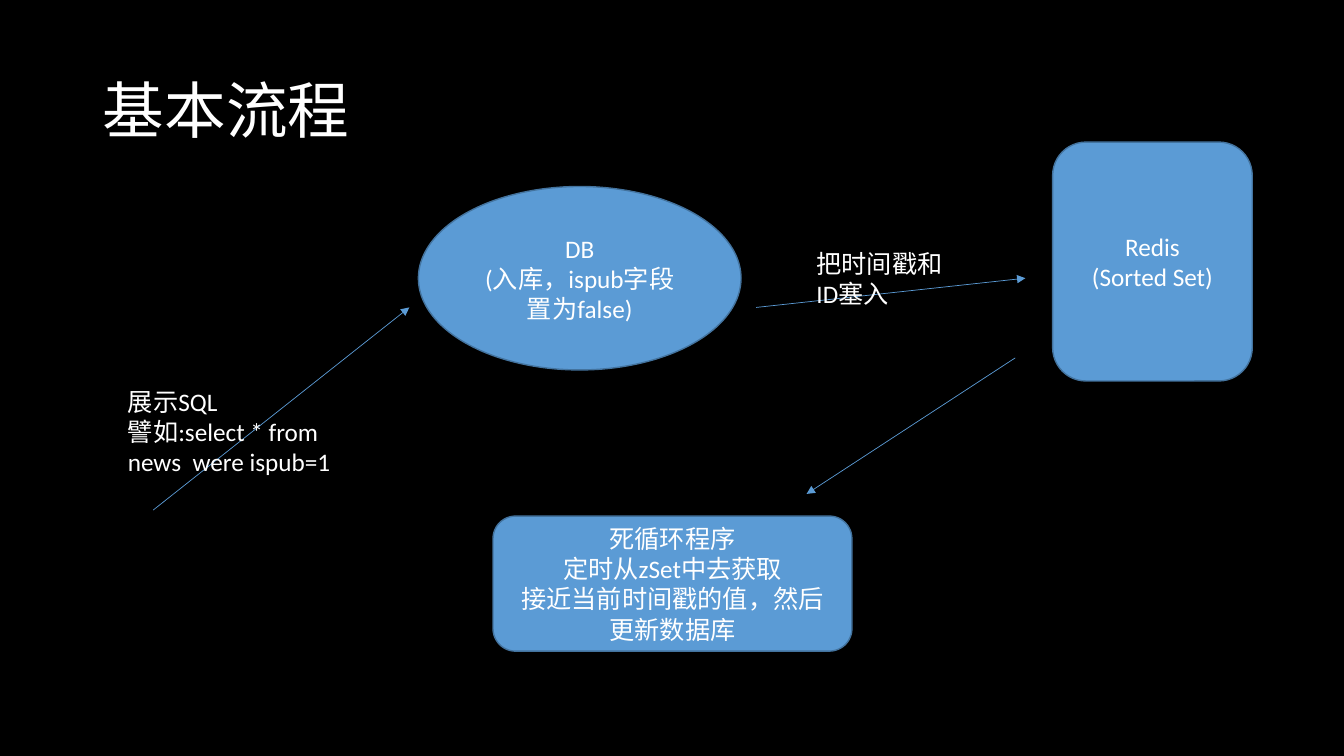
from typing import NamedTuple

from lxml import etree
from pptx import Presentation
from pptx.dml.color import RGBColor
from pptx.enum.shapes import MSO_CONNECTOR, MSO_SHAPE
from pptx.enum.text import MSO_ANCHOR, MSO_AUTO_SIZE, PP_ALIGN
from pptx.oxml.ns import qn
from pptx.util import Inches, Pt

ELLIPSE = MSO_SHAPE.OVAL
ROUNDED = MSO_SHAPE.ROUNDED_RECTANGLE
STRAIGHT = MSO_CONNECTOR.STRAIGHT
LEFT, CENTER = PP_ALIGN.LEFT, PP_ALIGN.CENTER
TOP, MIDDLE = MSO_ANCHOR.TOP, MSO_ANCHOR.MIDDLE
NO_AUTOFIT = MSO_AUTO_SIZE.NONE

FONT = "Calibri"
BLACK, WHITE = "000000", "FFFFFF"
BLUE, DARK_BLUE = "5B9BD5", "43739E"


class Box(NamedTuple):
    left: float
    top: float
    width: float
    height: float


class Node(NamedTuple):
    kind: MSO_SHAPE
    box: Box
    lines: list[str]


class Arrow(NamedTuple):
    start: tuple[float, float]
    end: tuple[float, float]


class Label(NamedTuple):
    box: Box
    lines: list[str]


TITLE_BOX = Box(0.92, 0.4, 11.5, 1.45)
NODES = [
    Node(ELLIPSE, Box(4.15, 1.85, 3.2, 1.82), ["DB", "(入库，ispub字段置为false)"]),
    Node(ROUNDED, Box(10.44, 1.41, 1.98, 2.37), ["Redis", "(Sorted Set)"]),
    Node(ROUNDED, Box(4.89, 5.12, 3.56, 1.34),
         ["死循环程序", "定时从zSet中去获取", "接近当前时间戳的值，然后更新数据库"]),
]
ARROWS = [
    Arrow((1.52, 5.06), (4.06, 3.05)),
    Arrow((7.5, 3.05), (10.17, 2.76)),
    Arrow((10.07, 3.55), (8, 4.9)),
]
LABELS = [
    Label(Box(1.17, 3.78, 2.6, 1.01),
          ["展示SQL", "譬如:select * from news  were ispub=1"]),
    Label(Box(8, 2.41, 1.47, 0.71), ["把时间戳和ID塞入"]),
]


def color(value: str) -> RGBColor:
    return RGBColor.from_string(value)


def lengths(box: Box) -> list[Inches]:
    return [Inches(value) for value in box]


def write_text(shape, lines: list[str], *, size: float = 18, align=LEFT,
               anchor=TOP, line_spacing: float = 1.0) -> None:
    frame = shape.text_frame
    frame.word_wrap = True
    frame.auto_size = NO_AUTOFIT
    frame.vertical_anchor = anchor
    frame.text = "\n".join(lines)
    for paragraph in frame.paragraphs:
        paragraph.alignment = align
        paragraph.line_spacing = line_spacing
        paragraph.font.name = FONT
        paragraph.font.size = Pt(size)
        paragraph.font.color.rgb = color(WHITE)


def add_title(slide, text: str) -> None:
    title = slide.shapes.title
    title.left, title.top, title.width, title.height = lengths(TITLE_BOX)
    write_text(title, [text], size=44, anchor=MIDDLE, line_spacing=0.9)


def add_node(slide, node: Node) -> None:
    shape = slide.shapes.add_shape(node.kind, *lengths(node.box))
    shape.shadow.inherit = False
    shape.fill.solid()
    shape.fill.fore_color.rgb = color(BLUE)
    shape.line.color.rgb = color(DARK_BLUE)
    shape.line.width = Pt(1)
    write_text(shape, node.lines, align=CENTER, anchor=MIDDLE)


def add_arrow(slide, arrow: Arrow) -> None:
    points = [Inches(value) for value in arrow.start + arrow.end]
    connector = slide.shapes.add_connector(STRAIGHT, *points)
    connector.line.color.rgb = color(BLUE)
    connector.line.width = Pt(0.5)
    etree.SubElement(connector.line._get_or_add_ln(), qn("a:tailEnd"), type="triangle")
    etree.SubElement(connector._element.spPr, qn("a:effectLst"))


def add_label(slide, label: Label) -> None:
    write_text(slide.shapes.add_textbox(*lengths(label.box)), label.lines)


def main() -> None:
    presentation = Presentation()
    presentation.slide_width = Inches(13.33)
    presentation.slide_height = Inches(7.5)
    title_only = presentation.slide_layouts.get_by_name("Title Only")
    slide = presentation.slides.add_slide(title_only)
    slide.background.fill.solid()
    slide.background.fill.fore_color.rgb = color(BLACK)

    add_title(slide, "基本流程")
    for node in NODES:
        add_node(slide, node)
    for arrow in ARROWS:
        add_arrow(slide, arrow)
    for label in LABELS:
        add_label(slide, label)
    presentation.save("out.pptx")


if __name__ == "__main__":
    main()
